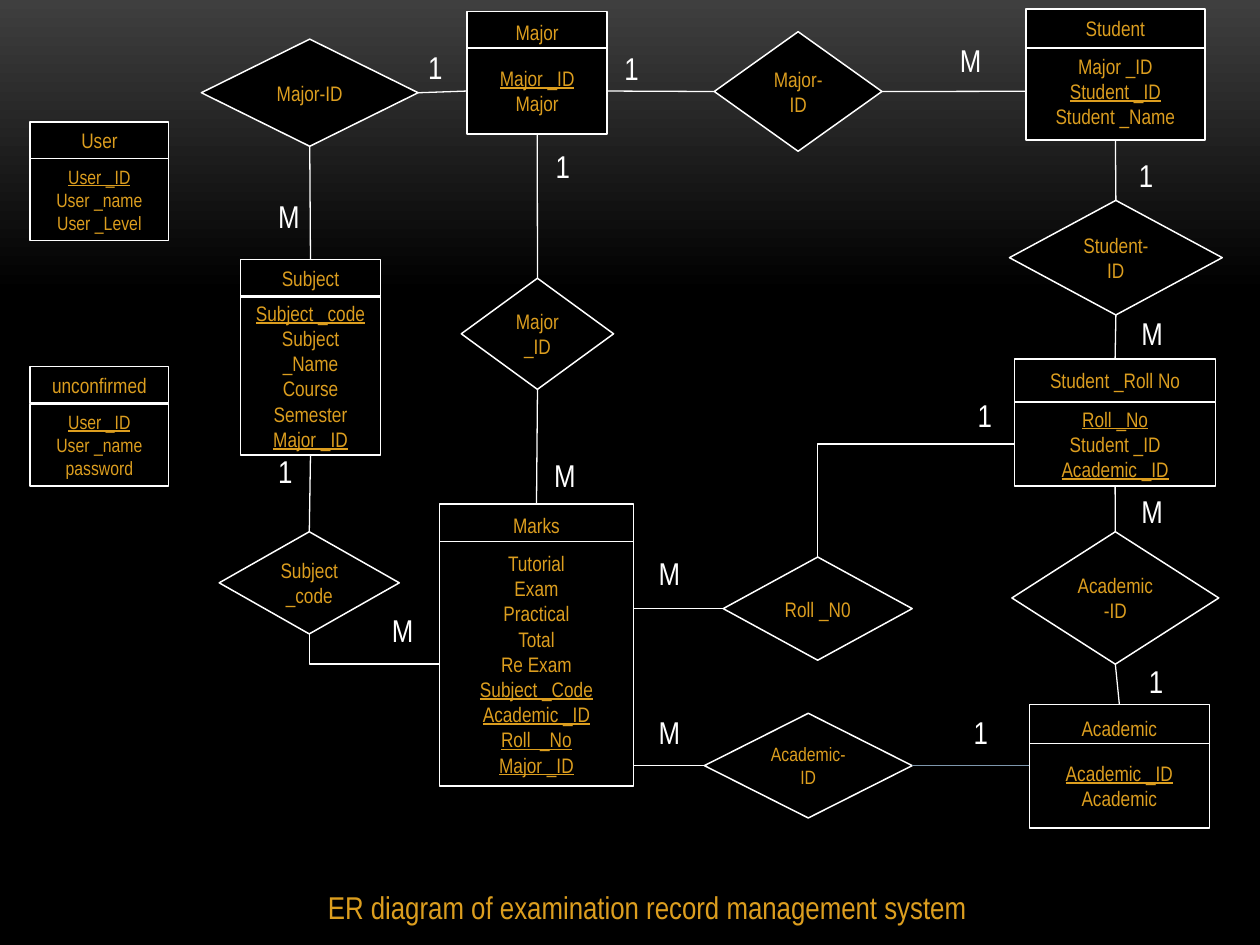
from dataclasses import dataclass

from lxml import etree
from pptx import Presentation
from pptx import util as u
from pptx.dml.color import RGBColor
from pptx.enum import shapes, text
from pptx.oxml.ns import qn
from pptx.util import Cm


@dataclass(frozen=True)
class Theme:
    font: str = "Arial Narrow"
    glow: RGBColor = RGBColor(0x3F, 0x3F, 0x3F)
    ground: RGBColor = RGBColor(0, 0, 0)
    gold: RGBColor = RGBColor(0xDC, 0x9E, 0x1F)
    outline: RGBColor = RGBColor(0xFF, 0xFF, 0xFF)
    muted: RGBColor = RGBColor(0x7E, 0x97, 0xAD)
    small: int = 11
    normal: int = 12
    large: int = 18
    border: float = 0.85
    link: float = 0.75


theme = Theme()
TOP, LEFT, BOTTOM, RIGHT = range(4)

deck = Presentation()
deck.slide_width, deck.slide_height = Cm(25.4), Cm(19.05)
slide = deck.slides.add_slide(deck.slide_layouts[6])

backdrop = slide.background.fill
backdrop.gradient()
backdrop.gradient_angle = 270
for stop, position, color in zip(backdrop.gradient_stops, (0, 0.31), (theme.glow, theme.ground)):
    stop.position = position
    stop.color.rgb = color


def write(frame, lines, size, color, align):
    """Write one paragraph per line; a leading * marks an underlined key."""
    frame.word_wrap = True
    for number, line in enumerate(lines):
        paragraph = frame.paragraphs[0] if number == 0 else frame.add_paragraph()
        paragraph.text = line.lstrip("*")
        paragraph.alignment = align
        font = paragraph.font
        font.name, font.size, font.color.rgb = theme.font, u.Pt(size), color
        font.underline = True if line.startswith("*") else None


def add_box(kind, left, top, width, height, lines, size):
    box = slide.shapes.add_shape(kind, Cm(left), Cm(top), Cm(width), Cm(height))
    box.shadow.inherit = False
    box.fill.solid()
    box.fill.fore_color.rgb = theme.ground
    box.line.color.rgb = theme.outline
    box.line.width = u.Pt(theme.border)
    box.text_frame.vertical_anchor = text.MSO_ANCHOR.MIDDLE
    write(box.text_frame, lines, size, theme.gold, text.PP_ALIGN.CENTER)
    return box


# Entities: left, top, width, header height, body top, body height, text size, fields
entities = {
    "Major": (9.42, 0.23, 2.82, 0.84, 0.97, 1.73, theme.normal, ["*Major _ID", "Major"]),
    "Student": (20.68, 0.18, 3.61, 0.79, 0.86, 1.96, theme.normal,
                ["Major _ID", "*Student _ID", "Student _Name"]),
    "Student _Roll No": (20.45, 7.24, 4.06, 0.86, 8.1, 1.7, theme.normal,
                         ["*Roll _No", "Student _ID", "*Academic _ID"]),
    "Academic": (20.75, 14.2, 3.63, 0.94, 14.99, 1.7, theme.normal,
                 ["*Academic _ID", "Academic"]),
    "Subject": (4.85, 5.23, 2.82, 0.74, 5.99, 3.18, theme.normal,
                ["*Subject _code", "Subject _Name", "Course", "Semester", "*Major _ID"]),
    "Marks": (8.86, 10.16, 3.91, 0.84, 10.92, 4.93, theme.normal,
              ["Tutorial", "Exam", "Practical", "Total", "Re Exam", "*Subject _Code",
               "*Academic _ID", "*Roll  _No", "*Major _ID"]),
    "User": (0.61, 2.46, 2.79, 0.74, 3.2, 1.65, theme.small,
             ["*User _ID", "User _name", "User _Level"]),
    "unconfirmed": (0.61, 7.39, 2.79, 0.74, 8.15, 1.65, theme.small,
                    ["*User _ID", "User _name", "password"]),
}
heads, bodies = {}, {}
for name, (left, top, width, head_height, body_top, body_height, size, fields) in entities.items():
    rows = [
        (heads, top, head_height, [name], theme.normal),
        (bodies, body_top, body_height, fields, size),
    ]
    if name == "Student":  # its header overlaps the body from the front
        rows.reverse()
    for group, row_top, height, lines, row_size in rows:
        group[name] = add_box(shapes.MSO_SHAPE.RECTANGLE, left, row_top, width, height, lines, row_size)

# Relations: left, top, width, height, key, text size
relations = {
    "Major-Student": (14.4, 0.64, 3.38, 2.41, "Major-ID", theme.normal),
    "Student-Roll": (20.35, 4.04, 4.29, 2.31, "Student-ID", theme.normal),
    "Marks-Academic": (14.2, 14.38, 4.19, 2.11, "Academic-ID", theme.small),
    "Subject-Major": (4.06, 0.79, 4.37, 2.16, "Major-ID", theme.normal),
    "Roll-Academic": (20.4, 10.72, 4.17, 2.67, "Academic-ID", theme.normal),
    "Marks-Roll": (14.58, 11.23, 3.81, 2.08, "Roll _N0", theme.normal),
    "Subject-Marks": (4.42, 10.72, 3.63, 2.06, "Subject _code", theme.normal),
    "Major-Marks": (9.3, 5.61, 3.07, 2.24, "Major _ID", theme.normal),
}
diamonds = {
    name: add_box(shapes.MSO_SHAPE.FLOWCHART_DECISION, left, top, width, height, [key], size)
    for name, (left, top, width, height, key, size) in relations.items()
}

straight, elbow = shapes.MSO_CONNECTOR.STRAIGHT, shapes.MSO_CONNECTOR.ELBOW
links = []
for kind, table, table_side, relation, relation_side in [
    (straight, heads["Subject"], TOP, "Subject-Major", BOTTOM),
    (straight, bodies["Major"], LEFT, "Subject-Major", RIGHT),
    (straight, bodies["Major"], RIGHT, "Major-Student", LEFT),
    (straight, bodies["Student"], LEFT, "Major-Student", RIGHT),
    (straight, bodies["Student"], BOTTOM, "Student-Roll", TOP),
    (straight, bodies["Major"], BOTTOM, "Major-Marks", TOP),
    (straight, bodies["Subject"], BOTTOM, "Subject-Marks", TOP),
    (straight, heads["Marks"], TOP, "Major-Marks", BOTTOM),
    (elbow, bodies["Marks"], LEFT, "Subject-Marks", BOTTOM),
    (straight, heads["Student _Roll No"], TOP, "Student-Roll", BOTTOM),
    (elbow, bodies["Student _Roll No"], LEFT, "Marks-Roll", TOP),
    (straight, bodies["Student _Roll No"], BOTTOM, "Roll-Academic", TOP),
    (straight, heads["Academic"], TOP, "Roll-Academic", BOTTOM),
]:
    link = slide.shapes.add_connector(kind, 0, 0, 0, 0)
    link.begin_connect(table, table_side)
    link.end_connect(diamonds[relation], relation_side)
    if kind == elbow:  # a single corner
        link._element.spPr.find(qn("a:prstGeom")).set("prst", "bentConnector2")
    links.append((link, theme.outline))

# Level links meet a table's edge away from its middle
marks_edge = bodies["Marks"].left + bodies["Marks"].width
for edge, relation, side, color in [
    (marks_edge, "Marks-Roll", LEFT, theme.outline),
    (marks_edge, "Marks-Academic", LEFT, theme.outline),
    (bodies["Academic"].left, "Marks-Academic", RIGHT, theme.muted),
]:
    diamond = diamonds[relation]
    level = diamond.top + diamond.height // 2
    link = slide.shapes.add_connector(straight, edge, level, edge, level)
    link.end_connect(diamond, side)
    links.append((link, color))

for link, color in links:
    link.line.color.rgb = color
    link.line.width = u.Pt(theme.link)
    etree.SubElement(link._element.spPr, qn("a:effectLst"))

# Cardinalities and caption: left, top, width, text, colour, alignment
cardinalities = {
    "1": [(8.38, 0.84), (12.34, 0.86), (22.91, 13.23), (22.71, 3.02), (19.46, 7.85),
          (19.38, 14.25), (10.95, 2.84), (5.36, 8.99)],
    "M": [(5.36, 3.84), (19.1, 0.71), (22.76, 9.8), (22.76, 6.2), (13.03, 14.25),
          (13.03, 11.05), (7.65, 12.19), (10.92, 9.07)],
}
labels = [
    (left, top, 0.86, count, theme.outline, text.PP_ALIGN.LEFT)
    for count, places in cardinalities.items()
    for left, top in places
]
labels.append((1.9, 17.78, 22.3, "ER diagram of examination record management system",
               theme.gold, text.PP_ALIGN.CENTER))
for left, top, width, wording, color, align in labels:
    label = slide.shapes.add_textbox(Cm(left), Cm(top), Cm(width), Cm(1.02))
    write(label.text_frame, [wording], theme.large, color, align)

deck.save("out.pptx")
